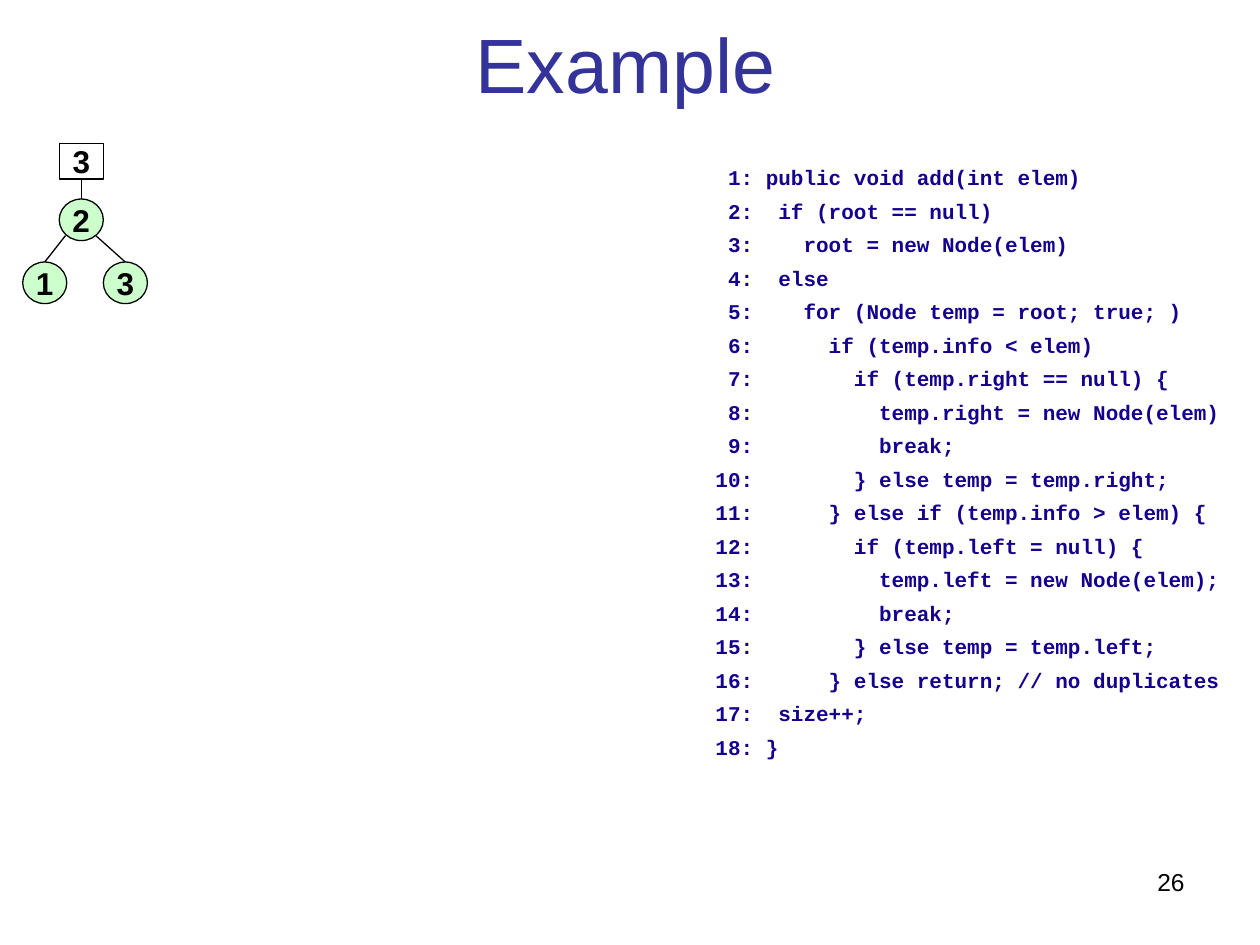
from dataclasses import dataclass

from lxml.etree import SubElement
from pptx import Presentation
from pptx.dml.color import RGBColor as Rgb
from pptx.enum.shapes import MSO_CONNECTOR as Connector, MSO_SHAPE as Preset
from pptx.enum.text import MSO_ANCHOR as Anchor, PP_ALIGN as Align
from pptx.oxml.ns import qn
from pptx.util import Inches, Pt

CELL = 0.1  # the slide is a grid of 100 columns by 75 rows


@dataclass(frozen=True)
class Theme:
    ink = Rgb(0, 0, 0)
    node_fill = Rgb(0xCC, 0xFF, 0xCC)
    outline = Pt(0.75)
    title = dict(name="Arial", size=Pt(44), color=Rgb(0x33, 0x33, 0x99))
    label = dict(name="Arial", size=Pt(18), bold=True, color=ink)
    code = dict(name="Courier New", size=Pt(12), bold=True, color=Rgb(0x14, 0x00, 0x8E))
    number = dict(name="Arial", size=Pt(14), color=ink)


THEME = Theme()

CODE = """\
public void add(int elem)
 if (root == null)
   root = new Node(elem)
 else
   for (Node temp = root; true; )
     if (temp.info < elem)
       if (temp.right == null) {
         temp.right = new Node(elem)
         break;
       } else temp = temp.right;
     } else if (temp.info > elem) {
       if (temp.left = null) {
         temp.left = new Node(elem);
         break;
       } else temp = temp.left;
     } else return; // no duplicates
 size++;
}""".splitlines()


def grid(*cells):
    return [Inches(cell * CELL) for cell in cells]


def write(frame, lines, style, layout, gap=0):
    """Fill a text frame, one paragraph for each line."""
    for index, line in enumerate(lines):
        paragraph = frame.paragraphs[0] if index == 0 else frame.add_paragraph()
        run = paragraph.add_run()
        run.text = line
        for key, value in layout.items():
            setattr(paragraph, key, value)
        if index:
            paragraph.space_before = Pt(gap)
        for key, value in style.items():
            if key == "color":
                run.font.color.rgb = value
            else:
                setattr(run.font, key, value)


def text_region(slide, box, lines, style, layout, gap=0, **frame_format):
    frame = slide.shapes.add_textbox(*grid(*box)).text_frame
    for key, value in {"word_wrap": True, **frame_format}.items():
        setattr(frame, key, value)
    write(frame, lines, style, layout, gap)


def title_region(slide, box):
    margins = {f"margin_{side}": 0 for side in ("left", "top", "right", "bottom")}
    text_region(slide, box, ["Example"], THEME.title,
                dict(alignment=Align.CENTER, line_spacing=1.06),
                vertical_anchor=Anchor.MIDDLE, **margins)


def code_region(slide, box):
    numbered = [f"{number:>2}: {code}" for number, code in enumerate(CODE, 1)]
    text_region(slide, box, numbered, THEME.code,
                dict(alignment=Align.LEFT, line_spacing=0.6), gap=10.5)


def page_number_region(slide, box):
    text_region(slide, box, ["26"], THEME.number, dict(alignment=Align.RIGHT))


def tree_region(slide, box):
    """Size counter above a root with two children."""
    left, top, width, height = box
    node_w, node_h, counter_h = 3.5, 3.3, 2.8
    middle, right = left + 2.9, left + width - node_w
    root_top, child_top = top + 4.4, top + height - node_h
    branch_top = root_top + 2.9
    inset = 0.5  # where a branch leaves the root, from its side
    tree = slide.shapes.add_group_shape().shapes

    # Branches, behind the nodes
    branches = [
        (middle + node_w - inset - 0.1, branch_top, right + node_w / 2, child_top),
        (middle + node_w / 2, top + counter_h, middle + node_w / 2, root_top),
        (middle + inset, branch_top, left + node_w / 2, child_top),
    ]
    for ends in branches:
        branch = tree.add_connector(Connector.STRAIGHT, *grid(*ends))
        branch.line.color.rgb = THEME.ink
        branch.line.width = THEME.outline
        SubElement(branch._element.spPr, qn("a:effectLst"))

    # Nodes and counter
    nodes = [
        ("3", Preset.OVAL, right, child_top, node_h),
        ("1", Preset.OVAL, left, child_top, node_h),
        ("2", Preset.OVAL, middle, root_top, node_h),
        ("3", Preset.RECTANGLE, middle, top, counter_h),
    ]
    for label, preset, x, y, tall in nodes:
        node = tree.add_shape(preset, *grid(x, y, node_w, tall))
        node.shadow.inherit = False
        if preset == Preset.OVAL:
            node.fill.solid()
            node.fill.fore_color.rgb = THEME.node_fill
        else:
            node.fill.background()
        node.line.color.rgb = THEME.ink
        node.line.width = THEME.outline
        node.text_frame.word_wrap = False
        node.text_frame.vertical_anchor = Anchor.MIDDLE
        write(node.text_frame, [label], THEME.label, dict(alignment=Align.CENTER))


def main():
    deck = Presentation()
    deck.slide_width, deck.slide_height = grid(100, 75)
    slide = deck.slides.add_slide(deck.slide_layouts[6])
    title_region(slide, (1.7, 0.7, 95.9, 8.1))
    tree_region(slide, (1.8, 11.4, 9.9, 12.7))
    code_region(slide, (55.8, 13.3, 43.3, 46.3))
    page_number_region(slide, (71.7, 68.3, 23.3, 5.2))
    deck.save("out.pptx")


if __name__ == "__main__":
    main()
